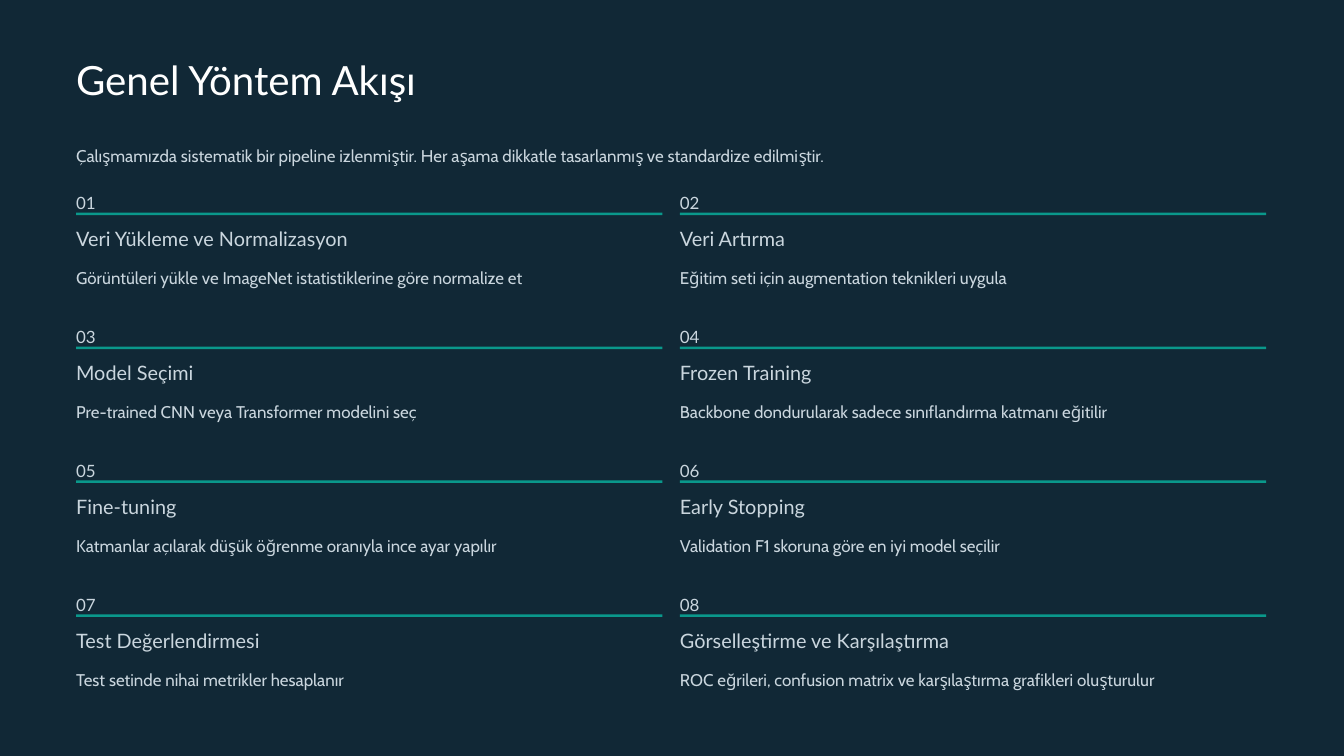
import pptx
import pptx.dml.color
import pptx.enum.shapes
import pptx.enum.text
import pptx.util

PX = 9525  # EMU in one px, 96 px to the inch
LEFT, CONTENT_WIDTH = 87, 1360
COLUMN_GAP, ROW_PITCH = 20, 153
COLORS = {"background": "112836", "title": "FFFFFF", "text": "CAD6DE", "rule": "0A988B"}

FORMATS = {
    "title": {"name": "Lato", "size": 34.5, "spacing": 43.5, "color": "title"},
    "intro": {"name": "Cabin", "size": 14.5, "spacing": 23.5, "color": "text"},
    "number": {"name": "Lato", "size": 14.5, "spacing": 23.5, "color": "text"},
    "heading": {"name": "Lato", "size": 17, "spacing": 21.5, "color": "text"},
}

# Heading, heading width in px, description
STEPS = [
    ("Veri Yükleme ve Normalizasyon", 426,
     "Görüntüleri yükle ve ImageNet istatistiklerine göre normalize et"),
    ("Veri Artırma", 232, "Eğitim seti için augmentation teknikleri uygula"),
    ("Model Seçimi", 232, "Pre-trained CNN veya Transformer modelini seç"),
    ("Frozen Training", 232, "Backbone dondurularak sadece sınıflandırma katmanı eğitilir"),
    ("Fine-tuning", 232, "Katmanlar açılarak düşük öğrenme oranıyla ince ayar yapılır"),
    ("Early Stopping", 232, "Validation F1 skoruna göre en iyi model seçilir"),
    ("Test Değerlendirmesi", 291, "Test setinde nihai metrikler hesaplanır"),
    ("Görselleştirme ve Karşılaştırma", 434,
     "ROC eğrileri, confusion matrix ve karşılaştırma grafikleri oluşturulur"),
]


def px(*lengths):
    return [pptx.util.Emu(length * PX) for length in lengths]


def set_fill(fill, color):
    fill.solid()
    fill.fore_color.rgb = pptx.dml.color.RGBColor.from_string(color)


def write_text(shape, text, style):
    frame = shape.text_frame
    frame_values = {
        "margin_left": 0, "margin_top": 0, "margin_right": 0, "margin_bottom": 0,
        "word_wrap": False,
        "auto_size": pptx.enum.text.MSO_AUTO_SIZE.NONE,
        "vertical_anchor": pptx.enum.text.MSO_ANCHOR.TOP,
    }
    for name, value in frame_values.items():
        setattr(frame, name, value)
    values = FORMATS[style]
    paragraph = frame.paragraphs[0]
    paragraph.alignment = pptx.enum.text.PP_ALIGN.LEFT
    paragraph.line_spacing = pptx.util.Pt(values["spacing"])
    run = paragraph.add_run()
    run.text = text
    font_values = {"name": values["name"], "size": pptx.util.Pt(values["size"])}
    for name, value in font_values.items():
        setattr(run.font, name, value)
    set_fill(run.font.fill, COLORS[values["color"]])


def add_text(slide, box, text, style):
    write_text(slide.shapes.add_textbox(*px(*box)), text, style)


def add_header(slide, left, top, width):
    title = slide.shapes.title
    title.left, title.top, title.width, title.height = px(left, top, 523, 59)
    write_text(title, "Genel Yöntem Akışı", "title")
    add_text(slide, (left, top + 98, width, 32),
             "Çalışmamızda sistematik bir pipeline izlenmiştir. "
             "Her aşama dikkatle tasarlanmış ve standardize edilmiştir.", "intro")


def add_step(slide, left, top, width, number, step):
    heading, heading_width, description = step
    add_text(slide, (left, top, 20, 25), f"{number:02}", "number")
    rule = slide.shapes.add_shape(
        pptx.enum.shapes.MSO_SHAPE.RECTANGLE, *px(left, top + 31, width, 3))
    rule.shadow.inherit = False
    rule.line.fill.background()
    set_fill(rule.fill, COLORS["rule"])
    add_text(slide, (left, top + 46, heading_width, 29), heading, "heading")
    add_text(slide, (left, top + 86, width, 32), description, "intro")


def add_step_grid(slide, left, top, width):
    column_width = (width - COLUMN_GAP) // 2
    for index, step in enumerate(STEPS):
        row, column = divmod(index, 2)
        add_step(slide, left + column * (column_width + COLUMN_GAP),
                 top + row * ROW_PITCH, column_width, index + 1, step)


def main():
    presentation = pptx.Presentation()
    presentation.slide_width, presentation.slide_height = px(1536, 864)
    slide = presentation.slides.add_slide(presentation.slide_layouts[5])
    set_fill(slide.background.fill, COLORS["background"])

    # Title and introduction
    add_header(slide, LEFT, 60, CONTENT_WIDTH)
    # Eight numbered steps in two columns
    add_step_grid(slide, LEFT, 212, CONTENT_WIDTH)

    presentation.save("out.pptx")


if __name__ == "__main__":
    main()
